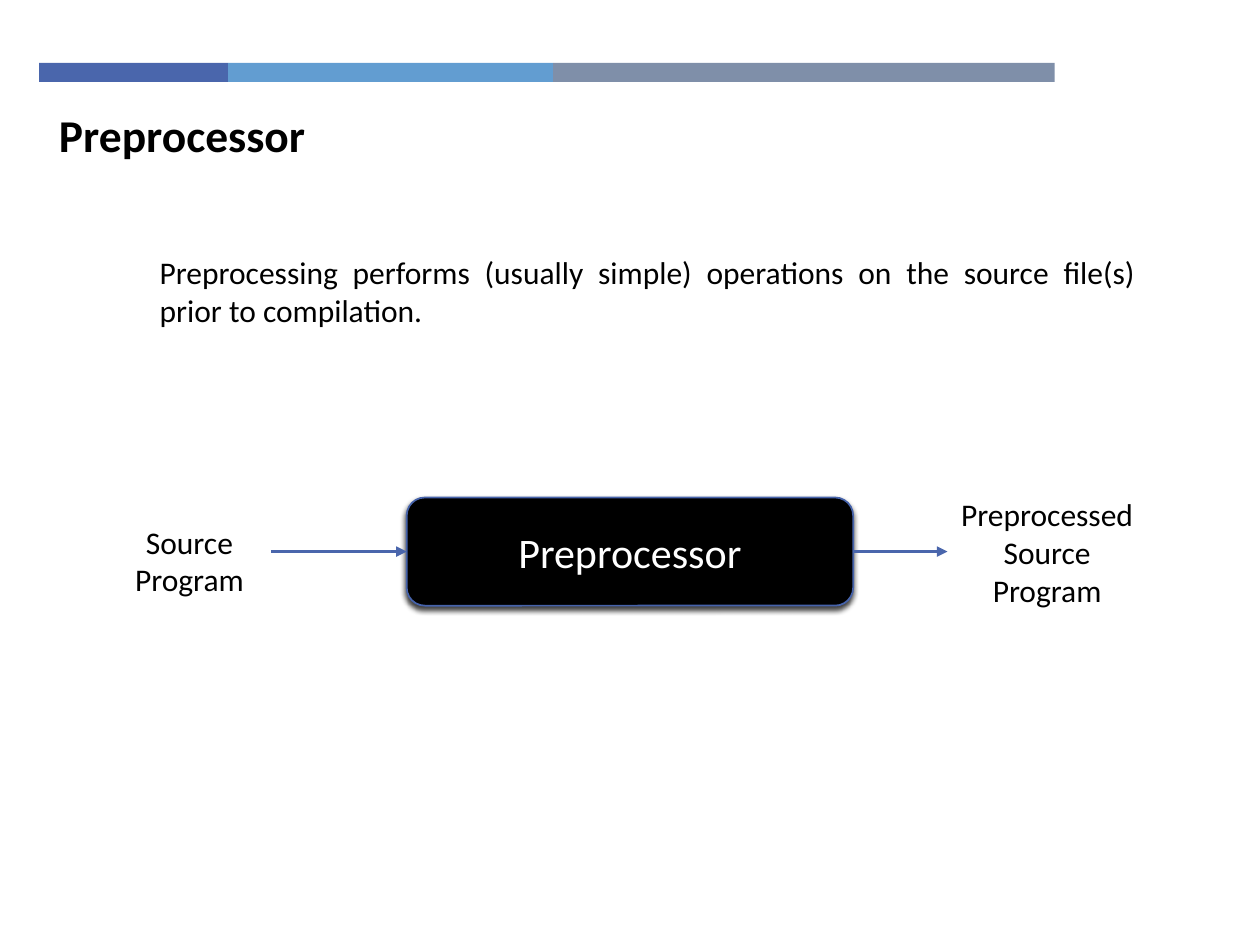
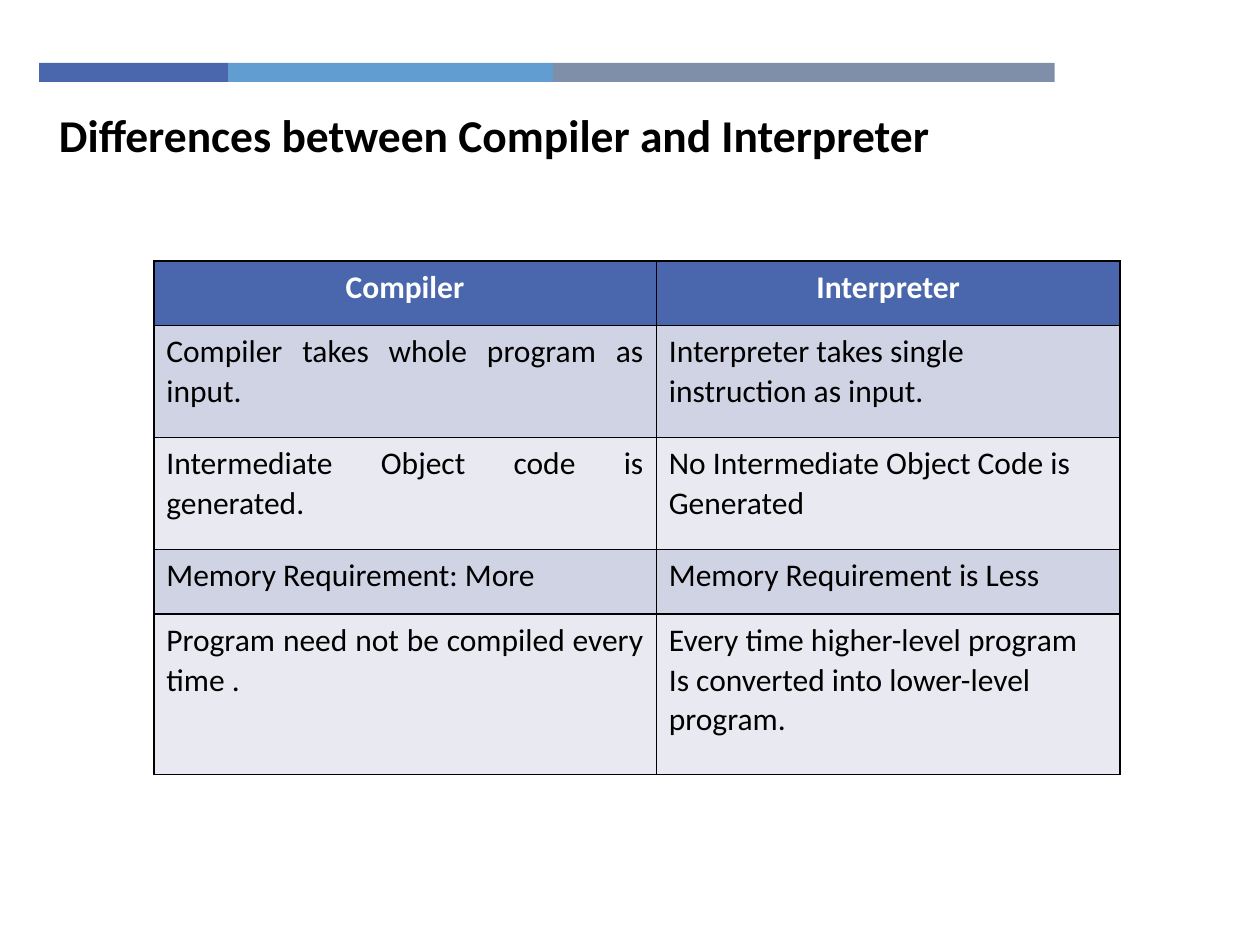
"""Build two slides on preprocessors, compilers and interpreters."""
from itertools import product
from lxml.etree import SubElement as Sub
from pptx import Presentation
from pptx.dml.color import RGBColor as Rgb
from pptx.enum.shapes import MSO_CONNECTOR as Link, MSO_SHAPE as Form
from pptx.enum.text import MSO_ANCHOR as Anchor, PP_ALIGN as Align
from pptx.oxml.ns import qn
from pptx.util import Cm, Pt

BLUE, BLACK, WHITE = "4A66AC", "000000", "FFFFFF"
BANDS = [(3.81, BLUE), (6.55, "629DD1"), (10.11, "7F8FA9")]
STRIPES = ["D0D3E3", "E9EAF1"]
FONT = "Calibri"

TITLES = ["Preprocessor", "Differences between Compiler and Interpreter"]
INTRO = ("Preprocessing performs (usually simple) operations on the "
         "source file(s) prior to compilation.")
LABELS = [("Source Program", (2.18, 10.41, 3.28, 1.8)),
          ("Preprocessed Source Program", (19.1, 9.86, 4.02, 2.57))]
STEP = ("Preprocessor", (8.2, 10.03, 9, 2.18))
ARROWS = [(5.46, 8.2), (17.2, 19.1)]
FLOW = 11.12

ROWS = [
    ("Compiler", "Interpreter"),
    ("Compiler takes whole program as input.",
     "Interpreter takes single instruction as input."),
    ("Intermediate Object code is generated.",
     "No Intermediate Object Code is Generated"),
    ("Memory Requirement:\u00a0More", "Memory Requirement\u00a0is\u00a0Less"),
    ("Program need not be compiled every time .",
     "Every time higher-level program\nIs converted into lower-level program."),
]
WIDTHS = [10.13, 9.35]
HEIGHTS = [1.3, 2.26, 2.26, 1.3, 3.23]
CORNER = (3.1, 5.26)


def tint(code):
    return Rgb.from_string(code)


def cms(box):
    return [Cm(n) for n in box]


def write(frame, text, size=18, color=BLACK, bold=False, align=Align.LEFT,
          anchor=Anchor.TOP, space=None):
    frame.word_wrap = True
    frame.vertical_anchor = anchor
    for i, line in enumerate(text.split("\n")):
        par = frame.add_paragraph() if i else frame.paragraphs[0]
        par.alignment, par.line_spacing = align, space
        run = par.add_run()
        run.text = line
        font = run.font
        font.name, font.size, font.bold = FONT, Pt(size), bold
        font.color.rgb = tint(color)


def label(slide, text, box, **form):
    write(slide.shapes.add_textbox(*cms(box)).text_frame, text, **form)


def block(shapes, kind, box, color):
    shape = shapes.add_shape(kind, *cms(box))
    shape.shadow.inherit = False
    shape.fill.solid()
    shape.fill.fore_color.rgb = tint(color)
    shape.line.fill.background()
    return shape


def shade(shape):
    glow = Sub(shape.element.spPr.find(qn("a:effectLst")), qn("a:outerShdw"),
               blurRad=str(Pt(3)), dist=str(Pt(2)), dir=str(110 * 60000),
               rotWithShape="0")
    color = Sub(glow, qn("a:srgbClr"), val=BLACK)
    Sub(color, qn("a:alpha"), val="75000")


def arrow(slide, start, end):
    line = slide.shapes.add_connector(Link.STRAIGHT,
                                      *cms((start, FLOW, end, FLOW)))
    line.line.color.rgb = tint(BLUE)
    line.line.width = Pt(2)
    Sub(line.line._get_or_add_ln(), qn("a:tailEnd"), type="triangle")
    Sub(line.element.spPr, qn("a:effectLst"))


def frame_cell(cell):
    props = cell._tc.get_or_add_tcPr()
    for i, side in enumerate(("lnL", "lnR", "lnT", "lnB")):
        edge = Sub(props, qn("a:" + side), w=str(Pt(1)))
        Sub(Sub(edge, qn("a:solidFill")), qn("a:srgbClr"), val=BLACK)
        props.insert(i, edge)


def page(deck, title):
    slide = deck.slides.add_slide(deck.slide_layouts[6])
    group = slide.shapes.add_group_shape()
    left = 0.79
    for width, color in BANDS:
        block(group.shapes, Form.RECTANGLE, (left, 1.27, width, 0.38), color)
        left += width
    label(slide, title, (0.94, 2.03, 18.19, 1.37), size=26, bold=True)
    return slide


def flow(slide):
    label(slide, INTRO, (2.97, 4.98, 20.17, 1.8), align=Align.JUSTIFY)
    text, box = STEP
    step = block(slide.shapes, Form.ROUNDED_RECTANGLE, box, BLACK)
    step.line.color.rgb = tint("4663AB")
    step.line.width = Pt(1)
    shade(step)
    write(step.text_frame, text, size=24, color=WHITE, align=Align.CENTER,
          anchor=Anchor.MIDDLE)
    for start, end in ARROWS:
        arrow(slide, start, end)
    for text, box in LABELS:
        label(slide, text, box, align=Align.CENTER)


def grid(slide):
    box = (*CORNER, sum(WIDTHS), sum(HEIGHTS))
    table = slide.shapes.add_table(len(ROWS), len(WIDTHS), *cms(box)).table
    for col, width in zip(table.columns, WIDTHS):
        col.width = Cm(width)
    for row, height in zip(table.rows, HEIGHTS):
        row.height = Cm(height)
    for r, c in product(range(len(ROWS)), range(len(WIDTHS))):
        cell, head = table.cell(r, c), r == 0
        cell.fill.solid()
        cell.fill.fore_color.rgb = tint(BLUE if head else STRIPES[(r - 1) % 2])
        frame_cell(cell)
        side = Align.LEFT if c else Align.JUSTIFY
        write(cell.text_frame, ROWS[r][c], bold=head, space=1.03,
              color=WHITE if head else BLACK,
              align=Align.CENTER if head else side)


deck = Presentation()
deck.slide_width, deck.slide_height = Cm(25.4), Cm(19.05)
for title, fill in zip(TITLES, (flow, grid)):
    fill(page(deck, title))
deck.save("out.pptx")
